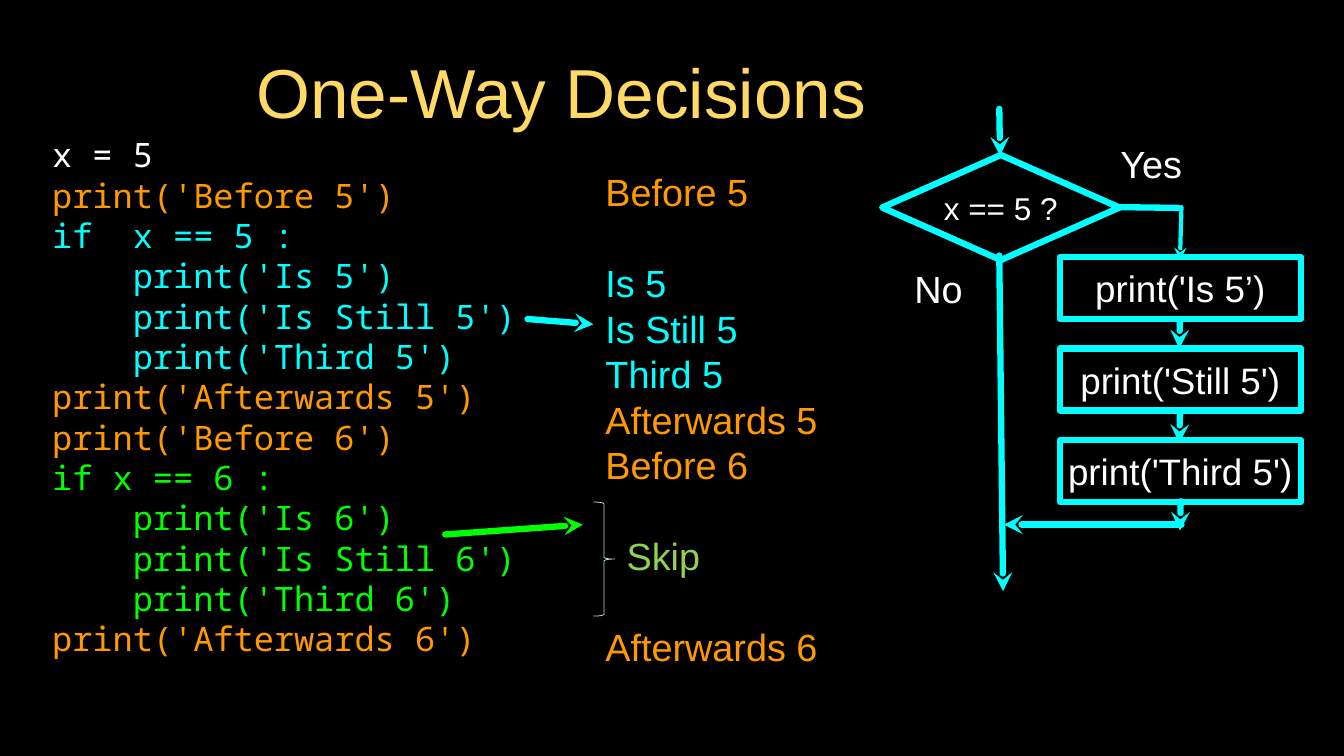
from lxml.etree import SubElement
from pptx import Presentation
from pptx.dml.color import RGBColor
from pptx.enum.shapes import MSO_CONNECTOR, MSO_SHAPE
from pptx.enum.text import MSO_ANCHOR, PP_ALIGN
from pptx.oxml.ns import qn
from pptx.util import Inches, Pt

COLORS = {
    "bg": "000000", "title": "FFD966", "white": "FFFFFF", "orange": "FF9900",
    "cyan": "00FFFF", "green": "00FF00", "skip": "92D050", "brace": "B6DCDF",
}

TITLE = "One-Way Decisions"
CODE = [
    ("x = 5", "white"),
    ("print('Before 5')", "orange"),
    ("if  x == 5 :", "cyan"),
    ("    print('Is 5')", "cyan"),
    ("    print('Is Still 5')", "cyan"),
    ("    print('Third 5')", "cyan"),
    ("print('Afterwards 5')", "orange"),
    ("print('Before 6')", "orange"),
    ("if x == 6 :", "green"),
    ("    print('Is 6')", "green"),
    ("    print('Is Still 6')", "green"),
    ("    print('Third 6')", "green"),
    ("print('Afterwards 6')", "orange"),
]
OUTPUT = [
    ("Before 5", "orange"),
    ("Is 5", "cyan"),
    ("Is Still 5", "cyan"),
    ("Third 5", "cyan"),
    ("Afterwards 5", "orange"),
    ("Before 6", "orange"),
    ("Skip", "skip"),
    ("Afterwards 6", "orange"),
]
GAP_BEFORE = {"Is 5", "Skip", "Afterwards 6"}
CODE_PITCH, OUTPUT_PITCH = 38.4, 43.3

STEPS = ["print('Is 5’)", "print('Still 5')", "print('Third 5')"]
STEP_LEFT, STEP_TOP, STEP_W, STEP_H, STEP_PITCH = 14.02, 3.4, 3.19, 0.82, 1.21
LABELS = [("Yes", 14.62, 1.82, 1.22, 0.68), ("No", 12.02, 3.47, 0.79, 0.68)]
LINES = [
    ((6.98, 4.22), (7.85, 4.29), "cyan", 6, True),
    ((5.89, 7.07), (7.71, 6.94), "green", 6, True),
    ((13.22, 1.44), (13.23, 2.06), "cyan", 6, True),
    ((13.22, 3.38), (13.27, 7.82), "cyan", 6, True),
    ((14.8, 2.74), (15.59, 2.75), "cyan", 6, False),
    ((15.63, 2.74), (15.61, 3.44), "cyan", 4, True),
    ((15.63, 6.94), (13.28, 6.94), "cyan", 6, True),
    ((15.61, 4.22), (15.6, 4.61), "cyan", 6, True),
    ((15.61, 5.47), (15.6, 5.86), "cyan", 6, True),
    ((15.62, 6.63), (15.61, 7.02), "cyan", 6, True),
]


def rgb(name):
    return RGBColor.from_string(COLORS[name])


def set_frame(tf, inset=0, wrap=True):
    tf.word_wrap = wrap
    tf.vertical_anchor = MSO_ANCHOR.MIDDLE
    tf.margin_left = tf.margin_right = Inches(inset)
    tf.margin_top = tf.margin_bottom = Inches(inset)


def add_run(p, text, size, color, font="Arial", align=PP_ALIGN.CENTER):
    p.alignment = align
    r = p.add_run()
    r.text = text
    r.font.size = Pt(size)
    r.font.name = font
    r.font.color.rgb = rgb(color)


def add_text(s, box, inset=0, wrap=True):
    tf = s.shapes.add_textbox(*map(Inches, box)).text_frame
    set_frame(tf, inset, wrap)
    return tf


def add_listing(s, box, rows, size, font, pitch):
    tf = add_text(s, box)
    for i, (text, color) in enumerate(rows):
        p = tf.paragraphs[0] if i == 0 else tf.add_paragraph()
        add_run(p, text, size, color, font, PP_ALIGN.LEFT)
        p.line_spacing = Pt(pitch)
        if text in GAP_BEFORE:
            p.space_before = Pt(pitch)
        if text == "Skip":
            p._p.get_or_add_pPr().set("marL", str(Inches(0.28)))


def add_outline(s, kind, box, color="cyan", width=6):
    sp = s.shapes.add_shape(kind, *map(Inches, box))
    sp.shadow.inherit = False
    sp.fill.background()
    sp.line.color.rgb = rgb(color)
    sp.line.width = Pt(width)
    return sp


def add_node(s, kind, box, text, size):
    tf = add_outline(s, kind, box).text_frame
    set_frame(tf, wrap=False)
    add_run(tf.paragraphs[0], text, size, "white")


def add_line(s, start, end, color, width, arrow):
    c = s.shapes.add_connector(MSO_CONNECTOR.STRAIGHT, *map(Inches, start + end))
    c.line.color.rgb = rgb(color)
    c.line.width = Pt(width)
    ln = c.line._get_or_add_ln()
    ln.set("cap", "rnd")
    SubElement(ln, qn("a:round"))
    if arrow:
        SubElement(ln, qn("a:tailEnd"), type="stealth")
    SubElement(c._element.spPr, qn("a:effectLst"))


def main():
    prs = Presentation()
    prs.slide_width, prs.slide_height = Inches(17.78), Inches(10)
    s = prs.slides.add_slide(prs.slide_layouts[5])
    s.background.fill.solid()
    s.background.fill.fore_color.rgb = rgb("bg")

    title = s.shapes.title
    title.left, title.top = Inches(2.22), Inches(0.62)
    title.width, title.height = Inches(10.41), Inches(1.17)
    set_frame(title.text_frame, 0.04)
    add_run(title.text_frame.paragraphs[0], TITLE, 66, "title")

    add_listing(s, (0.69, 1.69, 6.25, 7.11), CODE, 32, "Noto Sans Mono", CODE_PITCH)
    add_listing(s, (8.01, 2.28, 3.09, 6.52), OUTPUT, 36, "Arial", OUTPUT_PITCH)

    for line in LINES:
        add_line(s, *line)
    add_node(s, MSO_SHAPE.DIAMOND, (11.67, 2.05, 3.14, 1.39), "x == 5 ?", 30)
    for i, text in enumerate(STEPS):
        box = (STEP_LEFT, STEP_TOP + i * STEP_PITCH, STEP_W, STEP_H)
        add_node(s, MSO_SHAPE.RECTANGLE, box, text, 35)
    for text, *box in LABELS:
        tf = add_text(s, box)
        add_run(tf.paragraphs[0], text, 36, "white")
    add_outline(s, MSO_SHAPE.RIGHT_BRACE, (7.85, 6.64, 0.28, 1.51), "brace", 0.75)

    prs.save("out.pptx")


if __name__ == "__main__":
    main()
